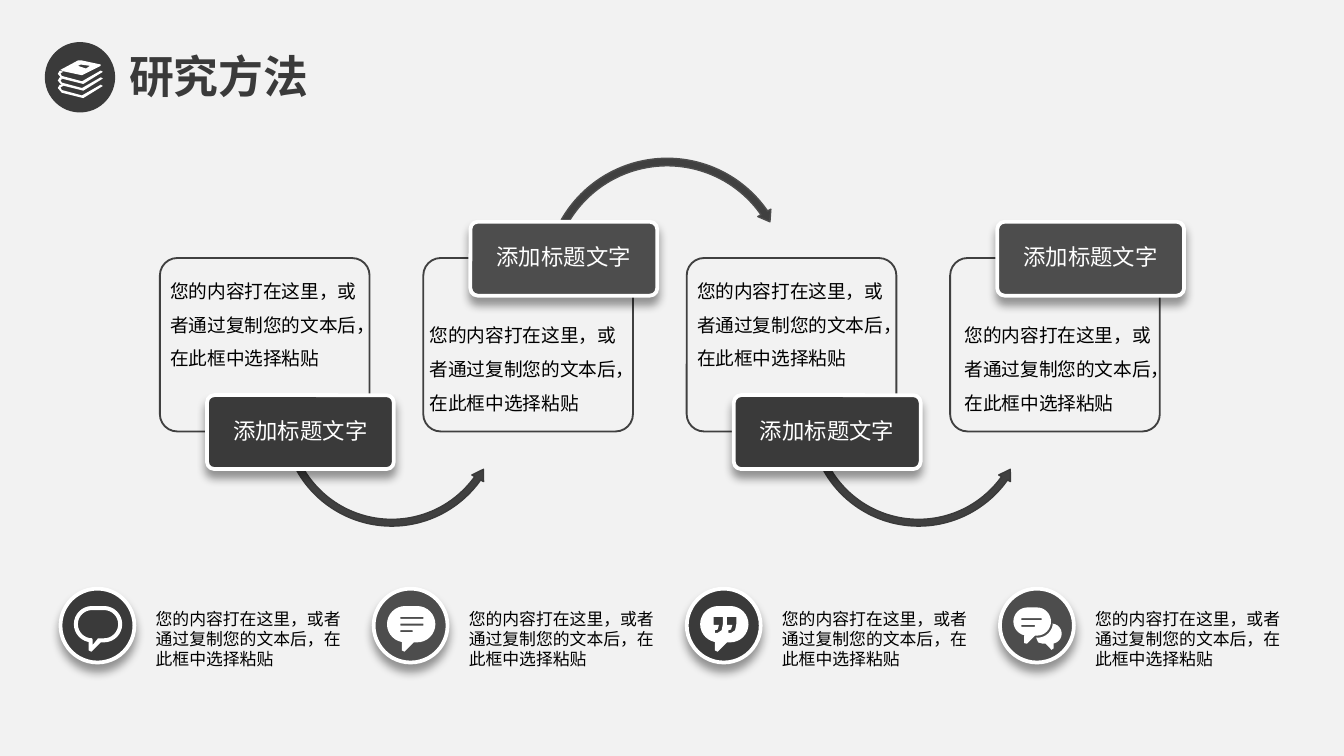
import math

import lxml.etree
import pptx
import pptx.dml.color
import pptx.enum.shapes
import pptx.enum.text
import pptx.oxml.ns
import pptx.util

PX = 9144
UNITS = 100
COLORS = {
    "bg": "F2F2F2",
    "dark": "3A3A3A",
    "mid": "404040",
    "light": "4D4D4D",
    "white": "FFFFFF",
    "black": "000000",
}
CJK = "Noto Sans CJK SC"
BODY = "您的内容打在这里，或者通过复制您的文本后，在此框中选择粘贴"
HEADING = "添加标题文字"
SHAPE = pptx.enum.shapes.MSO_SHAPE
ANCHOR = pptx.enum.text.MSO_ANCHOR
ALIGN = pptx.enum.text.PP_ALIGN


def px(*values):
    return [pptx.util.Emu(v * PX) for v in values]


def rgb(name):
    return pptx.dml.color.RGBColor.from_string(COLORS[name])


def paint(sp, fill=None, line=None, weight=1):
    sp.shadow.inherit = False
    if fill:
        sp.fill.solid()
        sp.fill.fore_color.rgb = rgb(fill)
    else:
        sp.fill.background()
    if line:
        sp.line.color.rgb = rgb(line)
        sp.line.width = pptx.util.Pt(weight)
    else:
        sp.line.fill.background()


def add_shadow(sp):
    qn = pptx.oxml.ns.qn
    effects = sp._element.spPr.find(qn("a:effectLst"))
    shadow = lxml.etree.SubElement(
        effects, qn("a:outerShdw"), blurRad="63500", dist="50800",
        dir="5400000", algn="t", rotWithShape="0")
    color = lxml.etree.SubElement(shadow, qn("a:srgbClr"), val=COLORS["black"])
    lxml.etree.SubElement(color, qn("a:alpha"), val="40000")


def write(sp, text, size, color, font=CJK, bold=False, align=ALIGN.LEFT,
          anchor=ANCHOR.TOP, spacing=1.0, margins=(10, 5, 10, 5)):
    tf = sp.text_frame
    tf.word_wrap = True
    tf.auto_size = pptx.enum.text.MSO_AUTO_SIZE.NONE
    tf.vertical_anchor = anchor
    tf.margin_left, tf.margin_top, tf.margin_right, tf.margin_bottom = px(*margins)
    p = tf.paragraphs[0]
    p.alignment = align
    p.line_spacing = spacing
    r = p.add_run()
    r.text = text
    r.font.size = pptx.util.Pt(size)
    r.font.bold = bold
    r.font.name = font
    r.font.color.rgb = rgb(color)
    ea = lxml.etree.SubElement(r.font._element, pptx.oxml.ns.qn("a:ea"))
    ea.set("typeface", CJK)


def add_preset(s, kind, box, fill=None, line=None, weight=1, adjustments=()):
    sp = s.shapes.add_shape(kind, *px(*box))
    for i, value in enumerate(adjustments):
        sp.adjustments[i] = value
    paint(sp, fill, line, weight)
    return sp


def add_text(s, box, text, size, spacing=1.0):
    write(s.shapes.add_textbox(*px(*box)), text, size, "black", spacing=spacing)


def add_outline(s, contours, x=0, y=0):
    def place(points):
        return [((x + a) * UNITS, (y + b) * UNITS) for a, b in points]

    first, *others = [place(points) for points in contours]
    builder = s.shapes.build_freeform(*first[0], scale=PX / UNITS)
    builder.add_line_segments(first[1:], close=True)
    for points in others:
        builder.move_to(*points[0])
        builder.add_line_segments(points[1:], close=True)
    paint(builder.convert_to_shape(), "white")


def arc(cx, cy, radius, start, end, steps=16):
    angles = [math.radians(start + (end - start) * i / steps) for i in range(steps + 1)]
    return [(cx + radius * math.cos(a), cy + radius * math.sin(a)) for a in angles]


def bubble(left, right, cy, radius, tail):
    return arc(right, cy, radius, -90, 90) + tail + arc(left, cy, radius, 90, 270)


def bar(x, y, w, h=1.5):
    return [(x, y), (x + w, y), (x + w, y + h), (x, y + h)]


def shift(points, dx=0, dy=0):
    return [(x + dx, y + dy) for x, y in points]


def add_title(s):
    title = s.shapes.title
    title.left, title.top, title.width, title.height = px(86, 31, 188, 51)
    write(title, "研究方法", 24, "dark", font="Arial", bold=True)
    add_preset(s, SHAPE.OVAL, (34, 32, 51, 51), "dark", "dark")
    cover = [(45, 52), (58, 45), (61, 45), (75, 48), (75, 49), (61, 56), (47, 53)]
    label = [(60, 48), (67, 49), (64, 51), (58, 49)]
    book = [(44.5, 63), (47, 64), (45, 65), (46, 67), (61, 71), (75, 63),
            (76.5, 64), (62, 73), (46, 69), (43, 65.5)]
    add_outline(s, [cover, label] + [shift(book, dy=dy) for dy in (0, -5.5, -10.5)])


def add_arrow(s, x, raised):
    if raised:
        add_preset(s, SHAPE.CIRCULAR_ARROW, (x + 88, 115, 187, 187), "mid", "light",
                   0.75, (0.03, 3.07, 195.17, 125.76, 0.03))
    else:
        add_preset(s, SHAPE.LEFT_CIRCULAR_ARROW, (x + 89, 227, 167, 167), "mid", "dark",
                   0.75, (0.03, 3.47, 21.22, 90.25, 0.03))


def add_step(s, x, raised, text_box):
    frame = add_preset(s, SHAPE.ROUNDED_RECTANGLE, (x, 192, 156, 129), None, "mid", 1, (0.1,))
    if text_box:
        add_text(s, text_box, BODY, 10, 1.5)
    else:
        write(frame, BODY, 10, "black", spacing=1.5, margins=(4, 4, 4, 32))
    header = add_preset(s, SHAPE.ROUNDED_RECTANGLE,
                        (x + 35, 165 if raised else 294, 139, 55),
                        "light" if raised else "dark", "white", 2, (0.1,))
    add_shadow(header)
    write(header, HEADING, 12, "white", font="Arial", align=ALIGN.CENTER,
          anchor=ANCHOR.MIDDLE, spacing=0.9)


def add_note(s, x, y, fill, icon):
    badge = add_preset(s, SHAPE.OVAL, (x, y, 55, 55), fill, "white", 2)
    add_shadow(badge)
    add_text(s, (x + 61, y + 10, 166, 56), BODY, 9)
    for contours in icon:
        add_outline(s, contours, x, y)


def note_icons():
    speech = bubble(23.5, 32.5, 26.5, 13.5, [(30, 40), (23, 47), (21, 46), (21, 40)])
    hollow = bubble(23.5, 32.5, 26.5, 10.5, [(28, 37), (24, 42), (24, 38)])
    lines = [bar(20, 21, 17), bar(20, 26, 17), bar(20, 31, 9)]
    quote = [(20, 21), (27, 21), (27, 26), (26, 31), (23, 33), (21, 33),
             (21, 31), (23, 30.5), (24, 27), (20, 27)]
    front = bubble(20.5, 27.5, 24.5, 10.5, [(26, 35), (20, 41), (18, 40.5), (18, 35)])
    back = (arc(28, 25, 11.5, 10, 95)
            + [(28.5, 40), (32, 41), (34, 41), (38.5, 45.5), (40, 44.5), (40, 41)]
            + arc(38.5, 33.5, 7.5, 80, -85))
    return [
        [[speech, hollow]],
        [[speech, *lines]],
        [[speech, quote, shift(quote, dx=10)]],
        [[back], [front, bar(16, 22, 15), bar(16, 27, 10)]],
    ]


def main():
    prs = pptx.Presentation()
    prs.slide_width = px(1000)[0]
    prs.slide_height = prs.slide_width * 9 // 16
    s = prs.slides.add_slide(prs.slide_layouts[5])
    s.background.fill.solid()
    s.background.fill.fore_color.rgb = rgb("bg")

    add_title(s)
    text_boxes = [None, (310, 228, 163, 86), None, (708, 228, 168, 86)]
    columns = [119 + 196 * i for i in range(len(text_boxes))]
    for i, x in enumerate(columns[:-1]):
        add_arrow(s, x, i % 2 == 1)
    for i, (x, text_box) in enumerate(zip(columns, text_boxes)):
        add_step(s, x, i % 2 == 1, text_box)
    for i, icon in enumerate(note_icons()):
        add_note(s, 45 + 233 * i, 438, "light" if i % 2 else "dark", icon)

    prs.save("out.pptx")


if __name__ == "__main__":
    main()
